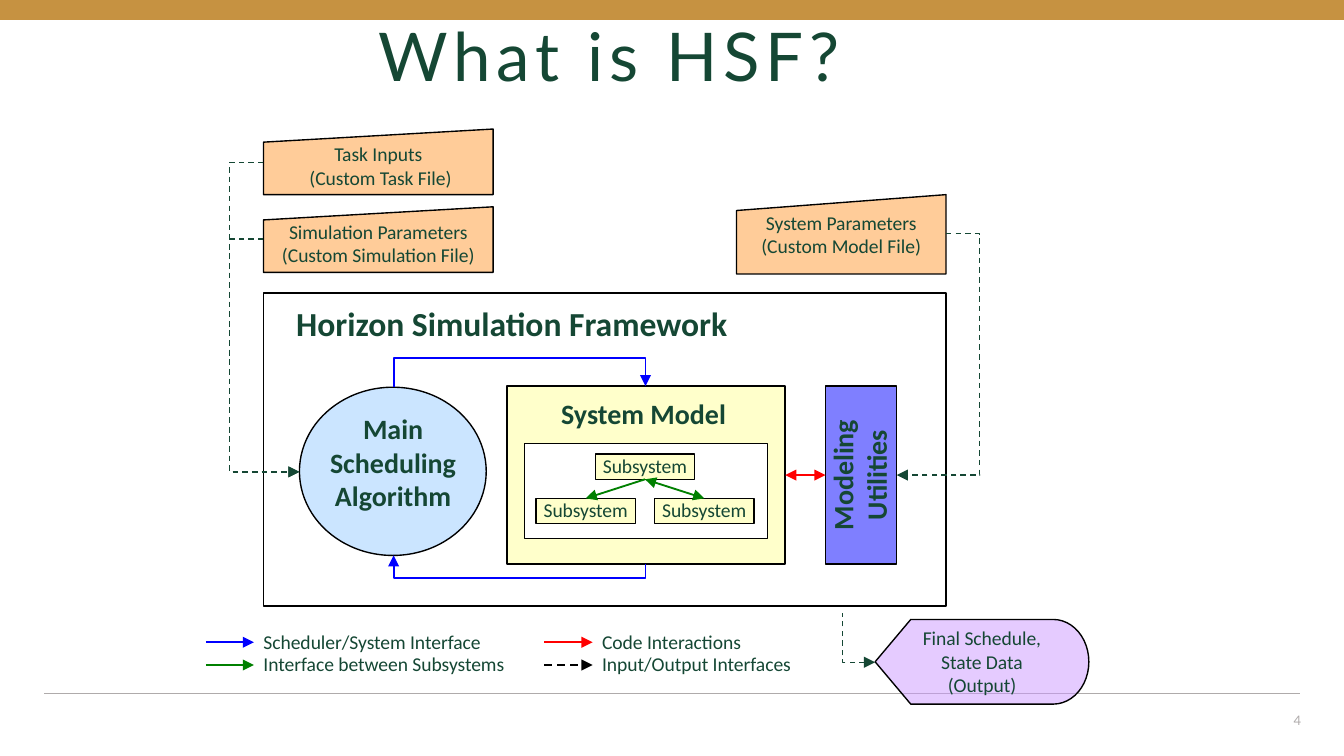
"""Build the slide that explains the parts of the Horizon Simulation Framework."""
from pptx import Presentation
from pptx import util as u
from pptx.dml import color
from pptx.enum import dml, shapes, text
from pptx.oxml import ns
from lxml import etree

INK, BLACK, WHITE, GRAY = "154734", "000000", "FFFFFF", "AFABAB"
GOLD, PEACH, CREAM, SKY = "C69241", "FFCC99", "FFFF99", "99CCFF"
LILAC, BLUE, GREEN, RED = "CC99FF", "0000FF", "008000", "FF0000"
KIND = shapes.MSO_SHAPE
SIDE = {"l": text.PP_ALIGN.LEFT, "c": text.PP_ALIGN.CENTER, "r": text.PP_ALIGN.RIGHT}
NONE, PAD = (0, 0, 0, 0), (0.25, 0.13, 0.25, 0.13)

SUB = (KIND.RECTANGLE, CREAM, 50, ["Subsystem"], NONE)
CARD = KIND.FLOWCHART_MANUAL_INPUT
BOXES = {
    "frame": ((4.98, 5.54, 12.9, 5.92), KIND.RECTANGLE, WHITE, 100, [], NONE),
    "main": ((5.66, 7.32, 3.53, 3.18), KIND.FLOWCHART_CONNECTOR, SKY, 50, [], NONE),
    "params": ((13.92, 3.68, 3.96, 1.5), CARD, PEACH, 100,
               ["System Parameters (Custom Model File)"], NONE),
    "sim": ((4.98, 3.91, 4.34, 1.24), CARD, PEACH, 100,
            ["Simulation Parameters (Custom Simulation File)"], NONE),
    "task": ((4.98, 2.44, 4.34, 1.24), CARD, PEACH, 100,
             ["Task Inputs", " (Custom Task File)"], NONE),
    "final": ((16.54, 11.71, 4.04, 1.6), KIND.FLOWCHART_DISPLAY, LILAC, 50,
              ["Final Schedule, State Data (Output)"], (0, 0.13, 0, 0)),
    "model": ((9.58, 7.3, 5.26, 3.36), KIND.RECTANGLE, CREAM, 50, [], NONE),
    "inner": ((9.91, 8.38, 4.6, 1.8), KIND.RECTANGLE, WHITE, 100, [], NONE),
    "left": ((10.13, 9.42, 1.88, 0.48), *SUB),
    "top": ((11.25, 8.58, 1.88, 0.48), *SUB),
    "right": ((12.37, 9.42, 1.88, 0.48), *SUB),
    "tools": ((15.6, 7.3, 1.35, 3.36), KIND.RECTANGLE, BLUE, 50, [], NONE),
}
HEADS = [
    ((4.62, 5.59, 10.11, 0.86), "Horizon Simulation Framework", 18, PAD, None),
    ((5.79, 7.65, 3.28, 2.26), "Main Scheduling Algorithm", 15, PAD, None),
    ((9.83, 7.49, 4.67, 0.66), "System Model", 15, NONE, None),
    ((15.6, 7.3, 1.35, 3.36), "Modeling Utilities", 15, NONE, "vert270"),
]
JOINS = [
    ("top", 2, "left", 0, GREEN, 1, "t"),
    ("top", 2, "right", 0, GREEN, 1, "ht"),
    ("model", 3, "tools", 1, RED, 0.75, "ht"),
]
BENDS = [
    ((7.44, 7.32), (12.2, 7.3), 6.76, True, BLUE, 1, False, "t"),
    ((12.2, 10.66), (7.44, 10.5), 10.92, True, BLUE, 1, False, "t"),
    ((4.98, 3.07), (5.66, 8.92), 4.34, False, INK, 0.75, True, "t"),
    ((4.98, 4.52), (5.66, 8.92), 4.34, False, INK, 0.75, True, "t"),
    ((17.88, 4.42), (16.95, 8.98), 18.52, False, INK, 0.75, True, "t"),
    ((16.54, 12.52), (15.93, 11.58), 15.93, False, INK, 0.75, True, "h"),
]
LEGEND = [
    (3.89, [("Scheduler/System Interface", BLUE, False),
            ("Interface between Subsystems", GREEN, False)]),
    (10.29, [("Code Interactions", RED, False),
             ("Input/Output Interfaces", BLACK, True)]),
]

deck = Presentation()
deck.slide_width, deck.slide_height = u.Cm(25.4), u.Cm(14.29)
slide = deck.slides.add_slide(deck.slide_layouts[5])
parts = slide.shapes


def cms(vals):
    """Turn numbers into lengths."""
    return [u.Cm(v) for v in vals]


def paint(target, code):
    """Set a colour format from a hex string."""
    target.rgb = color.RGBColor.from_string(code)


def write(shape, lines, size, side="c", pad=NONE, font="Calibri", bold=False, code=INK):
    """Put paragraphs into a shape."""
    frame = shape.text_frame
    frame.word_wrap, frame.auto_size = True, text.MSO_AUTO_SIZE.NONE
    frame.vertical_anchor = text.MSO_ANCHOR.TOP
    (frame.margin_left, frame.margin_top,
     frame.margin_right, frame.margin_bottom) = cms(pad)
    for i, line in enumerate(lines):
        para = frame.add_paragraph() if i else frame.paragraphs[0]
        para.alignment = SIDE[side]
        run = para.add_run()
        run.text = line
        run.font.name, run.font.size, run.font.bold = font, u.Pt(size), bold
        paint(run.font.color, code)
    return frame


def block(at, kind, code, alpha=100, edge=True):
    """Add a filled shape with an optional black edge."""
    shape = parts.add_shape(kind, *cms(at))
    shape.shadow.inherit = False
    shape.fill.solid()
    paint(shape.fill.fore_color, code)
    if alpha < 100:
        tint = shape.element.spPr.find(".//" + ns.qn("a:srgbClr"))
        etree.SubElement(tint, ns.qn("a:alpha")).set("val", str(alpha * 1000))
    if edge:
        paint(shape.line.color, BLACK)
        shape.line.width = u.Pt(0.75)
    else:
        shape.line.fill.background()
    return shape


def wire(start, end, code, width, dash=False, tips="", kind=shapes.MSO_CONNECTOR.STRAIGHT):
    """Add a connector with its arrowheads."""
    link = parts.add_connector(kind, *cms(start + end))
    paint(link.line.color, code)
    link.line.width = u.Pt(width)
    if dash:
        link.line.dash_style = dml.MSO_LINE.DASH
    edge = link.line._get_or_add_ln()
    for key, tag in (("h", "a:headEnd"), ("t", "a:tailEnd")):
        if key in tips:
            etree.SubElement(edge, ns.qn(tag)).set("type", "triangle")
    etree.SubElement(link.element.spPr, ns.qn("a:effectLst"))
    return link


def bend(start, end, via, tall, code, width, dash, tips):
    """Add an elbow whose middle leg runs at the given place."""
    (x1, y1), (x2, y2) = start, end
    axis = 1 if tall else 0
    ratio = (via - start[axis]) / (end[axis] - start[axis])
    if tall:
        midx, midy = (x1 + x2) / 2, (y1 + y2) / 2
        halfw, halfh = abs(y2 - y1) / 2, abs(x2 - x1) / 2
        start, end = (midx - halfw, midy - halfh), (midx + halfw, midy + halfh)
    link = wire(start, end, code, width, dash, tips, shapes.MSO_CONNECTOR.ELBOW)
    if tall:
        turn = link.element.spPr.find(ns.qn("a:xfrm"))
        turn.set("rot", "16200000")
        if x2 < x1:
            turn.set("flipV", "1")
    guide = etree.SubElement(link.element.spPr.find(".//" + ns.qn("a:avLst")), ns.qn("a:gd"))
    guide.set("name", "adj1")
    guide.set("fmla", f"val {round(ratio * 100000)}")


wire((0.84, 13.11), (24.56, 13.11), GRAY, 0.5)
block((0, 0, 25.4, 0.38), KIND.RECTANGLE, GOLD, edge=False)

title = parts.title
title.left, title.top, title.width, title.height = cms((6.91, 0.48, 11.58, 1.3))
frame = write(title, ["What is HSF?"], 36, "l", PAD, "Lato")
frame.vertical_anchor = text.MSO_ANCHOR.MIDDLE
frame.paragraphs[0].line_spacing = 0.9
frame.paragraphs[0].runs[0].font._element.set("spc", "300")

page = parts.add_textbox(*cms((23.7, 13.23, 1.14, 0.76)))
write(page, ["4"], 7, "r", PAD, "Lato", code=GRAY).vertical_anchor = text.MSO_ANCHOR.MIDDLE

nodes = {}
for name, (at, kind, code, alpha, lines, pad) in BOXES.items():
    nodes[name] = block(at, kind, code, alpha)
    if lines:
        write(nodes[name], lines, 10.5, pad=pad)

for at, line, size, pad, turn in HEADS:
    head = write(parts.add_textbox(*cms(at)), [line], size, pad=pad, bold=True)
    if turn:
        head._txBody.bodyPr.set("vert", turn)

for first, out, last, into, code, width, tips in JOINS:
    link = wire((0, 0), (1, 1), code, width, tips=tips)
    link.begin_connect(nodes[first], out)
    link.end_connect(nodes[last], into)

for item in BENDS:
    bend(*item)

for x, rows in LEGEND:
    for i, (label, code, dash) in enumerate(rows):
        y = 12.14 + 0.43 * i
        wire((x, y), (x + 0.91, y), code, 1, dash, "t")
        write(parts.add_textbox(*cms((x + 1.09, y - 0.24, 5.16, 0.46))), [label], 10.5, "l")

deck.save("out.pptx")
